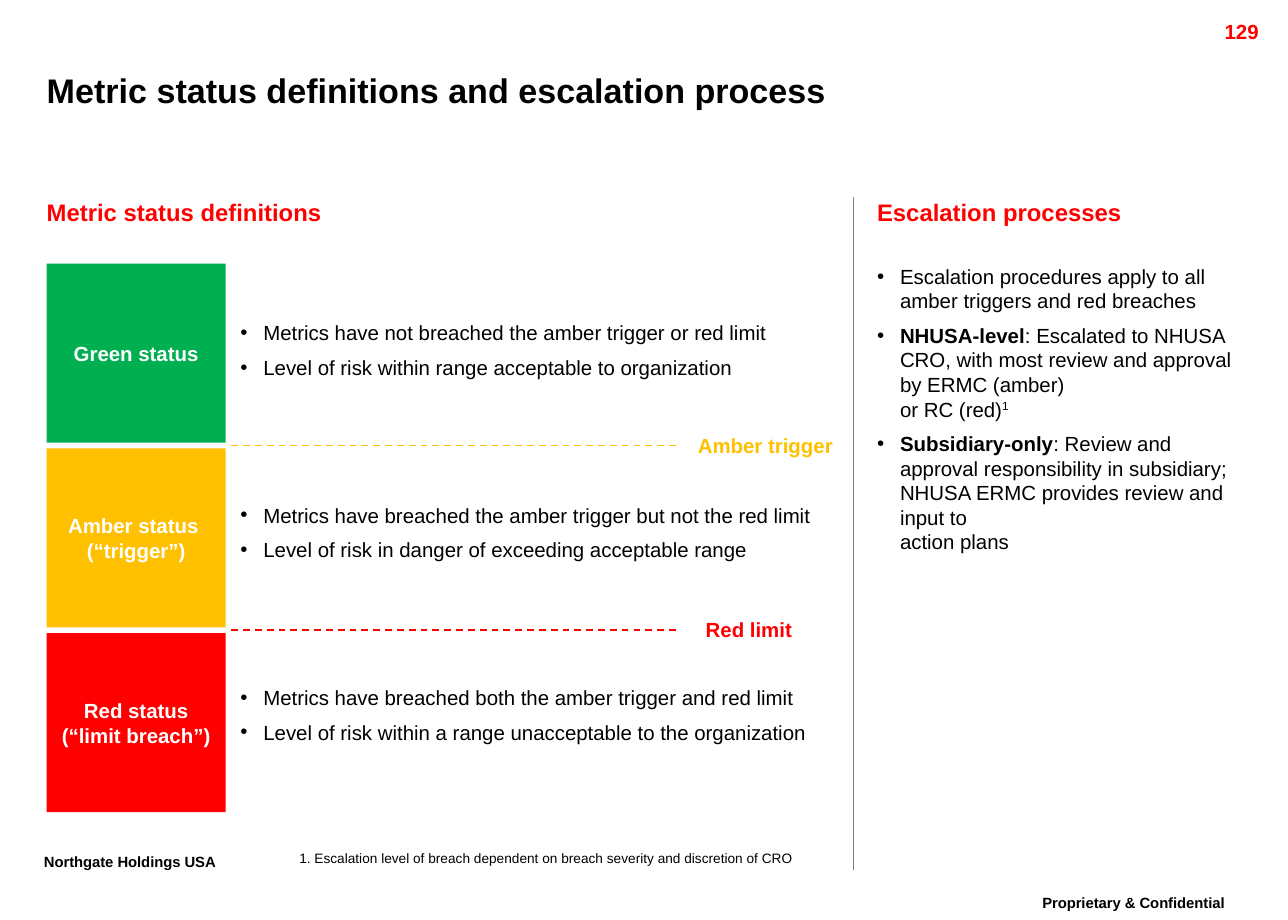
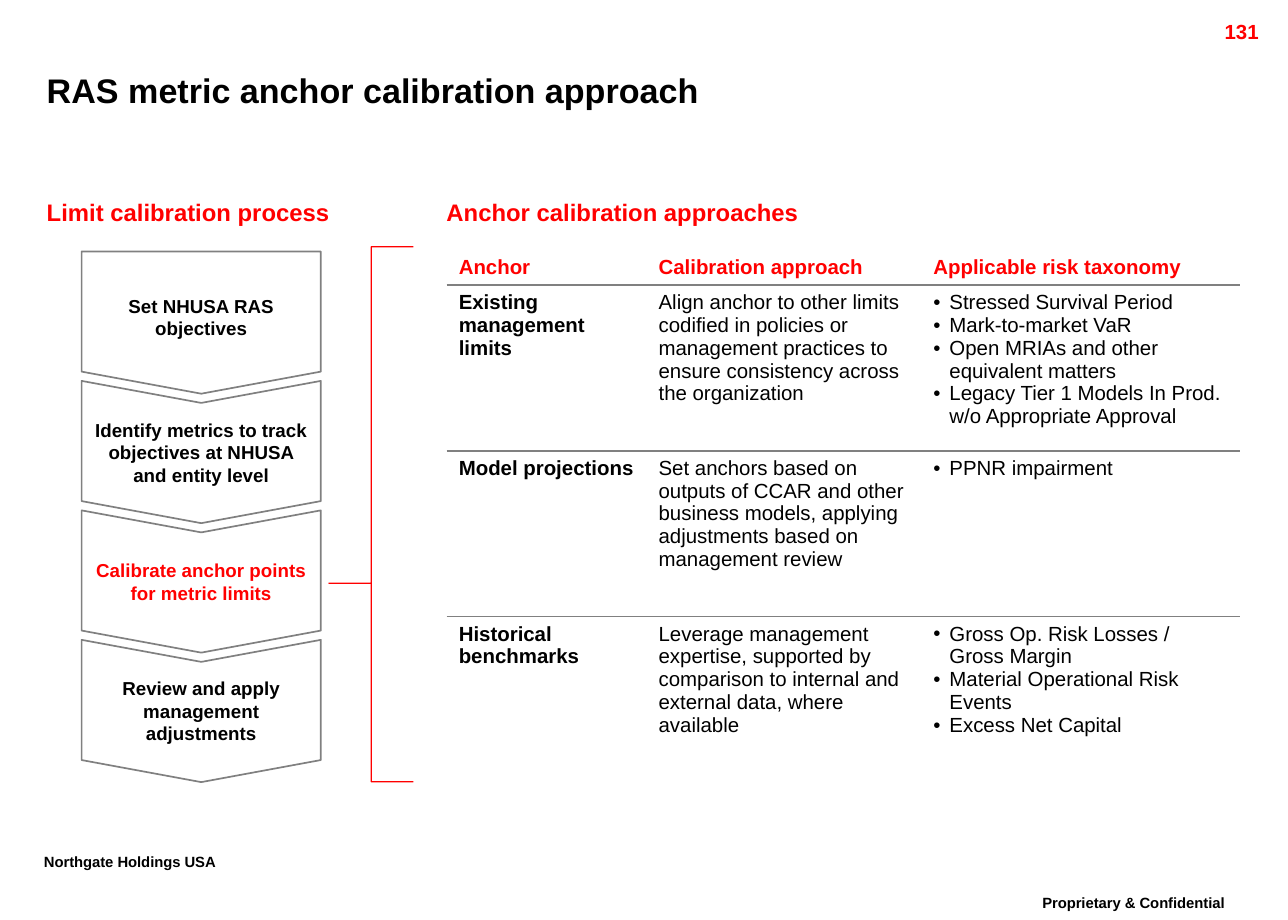
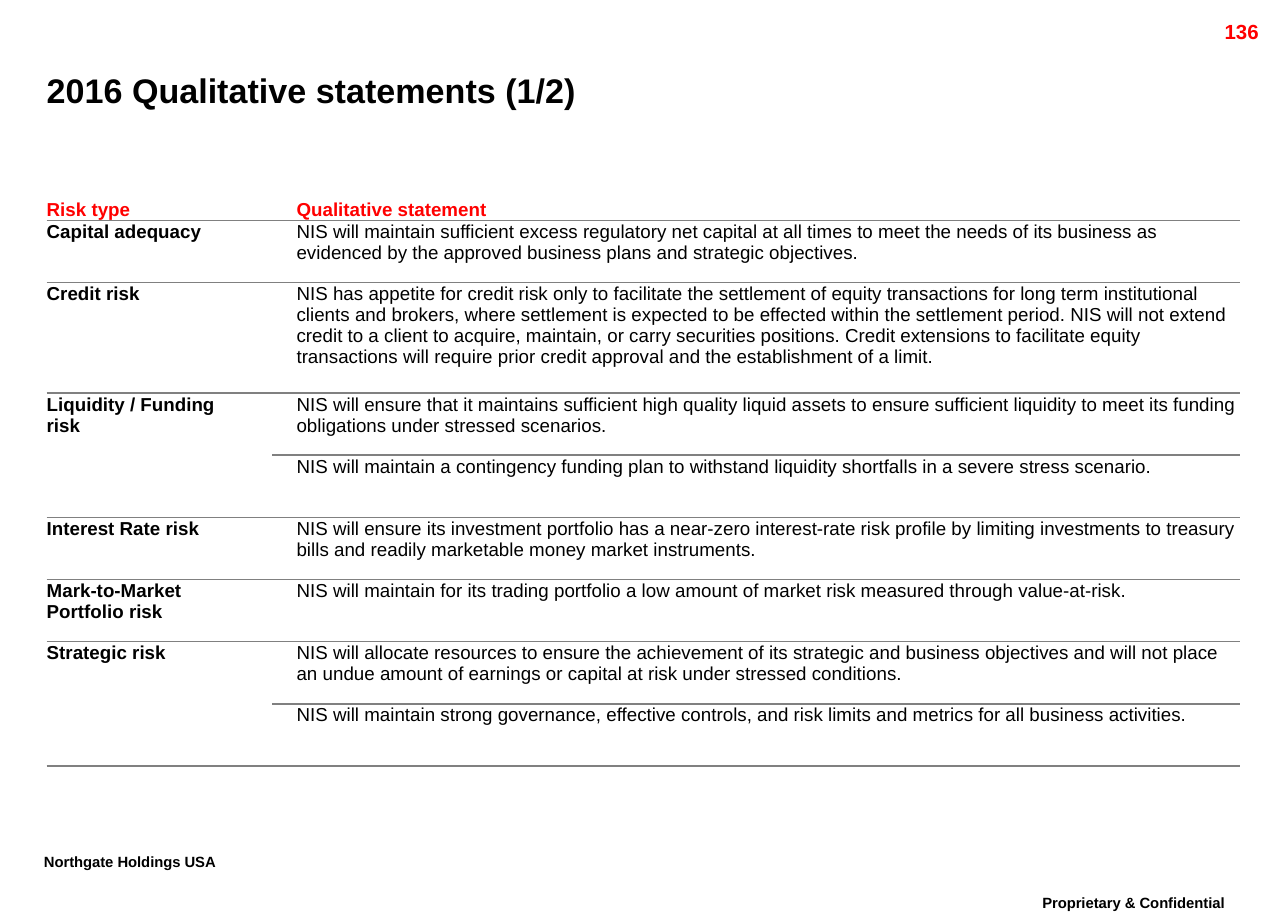
from lxml import etree
from pptx import Presentation
from pptx.dml.color import RGBColor
from pptx.enum.dml import MSO_LINE
from pptx.enum.shapes import MSO_CONNECTOR, MSO_SHAPE
from pptx.enum.text import MSO_ANCHOR, PP_ALIGN
from pptx.oxml.ns import qn
from pptx.util import Pt

LEFT, CENTER, RIGHT = PP_ALIGN.LEFT, PP_ALIGN.CENTER, PP_ALIGN.RIGHT
TOP, MIDDLE, BOTTOM = MSO_ANCHOR.TOP, MSO_ANCHOR.MIDDLE, MSO_ANCHOR.BOTTOM
RECT, PENTAGON = MSO_SHAPE.RECTANGLE, MSO_SHAPE.PENTAGON
CHEVRON, BRACE = MSO_SHAPE.CHEVRON, MSO_SHAPE.LEFT_BRACE
STRAIGHT, DASH = MSO_CONNECTOR.STRAIGHT, MSO_LINE.DASH

COLORS = {
    "black": "000000", "white": "FFFFFF", "red": "FF0000",
    "amber": "FFC000", "green": "00B050", "gray": "808080",
}
FONT = "Arial"
BODY_LINE, TABLE_LINE = 1.2, 1.115   # line pitch in multiples of the text size
NO_STYLE = "{2D5ABB26-0587-4C30-8999-92F81FD0307C}"
NO_INSETS, INSETS = (0, 0, 0, 0), (7.2, 3.6, 7.2, 3.6)
LEFT_X, HEAD_Y, RIGHT_X = 27.4, 115.9, 727.9


def rgb(name):
    return RGBColor.from_string(COLORS[name])


class Deck:
    """Shared style and the slide being built."""

    def __init__(self):
        self.prs = Presentation()
        self.prs.slide_width, self.prs.slide_height = Pt(756), Pt(540)
        self.s = None

    def slide(self, number, title):
        self.s = self.prs.slides.add_slide(self.prs.slide_layouts[6])
        self.footer(586.8, 522, 157, "Proprietary & Confidential", CENTER)
        self.footer(18.7, 497.5, 137.5, "Northgate Holdings USA", LEFT)
        self.text(673.9, 7.9, 72, 17.3, [number], 12, "red", True,
                  align=RIGHT, insets=INSETS)
        self.text(LEFT_X, 35.3, 682.6, 34.6, [title], 20, bold=True, anchor=MIDDLE)

    def footer(self, x, y, w, words, align):
        sp = self.text(x, y, w, 23, [[(words, {"raised": True})]], 15, bold=True,
                       align=align, insets=INSETS)
        sp.text_frame.paragraphs[0].line_spacing = 0.86

    # Text
    def fill_text(self, tf, paras, size, color="black", bold=False, align=LEFT,
                  anchor=TOP, insets=NO_INSETS, bullet=0, gap=0, line=BODY_LINE):
        """Fill a frame; a paragraph is a string or a list of (text, options)."""
        tf.word_wrap = True
        tf.vertical_anchor = anchor
        (tf.margin_left, tf.margin_top,
         tf.margin_right, tf.margin_bottom) = map(Pt, insets)
        for i, runs in enumerate(paras):
            p = tf.paragraphs[0] if i == 0 else tf.add_paragraph()
            if bullet:
                self.bullet(p, bullet)
            p.alignment = align
            p.line_spacing = Pt(round(size * line, 2))
            p.space_after = Pt(gap)
            for words, style in [(runs, {})] if isinstance(runs, str) else runs:
                for j, part in enumerate(words.split("\n")):
                    if j:
                        p.add_line_break()
                    r = p.add_run()
                    r.text = part
                    r.font.name, r.font.size = FONT, Pt(size)
                    r.font.bold = style.get("bold", bold)
                    r.font.color.rgb = rgb(color)
                    if style.get("raised"):
                        r.font._element.set("baseline", "30000")

    def bullet(self, p, indent):
        pPr = p._p.get_or_add_pPr()
        pPr.set("marL", str(Pt(indent)))
        pPr.set("indent", str(-Pt(indent)))
        etree.SubElement(pPr, qn("a:buFont")).set("typeface", FONT)
        etree.SubElement(pPr, qn("a:buChar")).set("char", "•")

    def text(self, x, y, w, h, paras, size, color="black", bold=False, **style):
        sp = self.s.shapes.add_textbox(Pt(x), Pt(y), Pt(w), Pt(h))
        self.fill_text(sp.text_frame, paras, size, color, bold, **style)
        return sp

    def heading(self, x, w, words):
        self.text(x, HEAD_Y, w, 17.3, [words], 14, "red", True)

    def bullets(self, x, y, w, h, paras):
        self.text(x, y, w, h, paras, 12, bullet=13.5, gap=6)

    # Shapes and lines
    def shape(self, kind, x, y, w, h, fill=None, line=None, weight=1):
        sp = self.s.shapes.add_shape(kind, Pt(x), Pt(y), Pt(w), Pt(h))
        sp.shadow.inherit = False
        if fill:
            sp.fill.solid()
            sp.fill.fore_color.rgb = rgb(fill)
        else:
            sp.fill.background()
        if line:
            sp.line.color.rgb = rgb(line)
            sp.line.width = Pt(weight)
        else:
            sp.line.fill.background()
        return sp

    def line(self, x1, y1, x2, y2, color, weight, dash=None):
        cx = self.s.shapes.add_connector(STRAIGHT, Pt(x1), Pt(y1), Pt(x2), Pt(y2))
        cx.line.color.rgb = rgb(color)
        cx.line.width = Pt(weight)
        if dash:
            cx.line.dash_style = dash
        etree.SubElement(cx._element.spPr, qn("a:effectLst"))

    def step(self, kind, x, y, w, h, words, color):
        """Downward arrow block: a sideways shape turned by 90 degrees."""
        sp = self.shape(kind, x + (w - h) / 2, y + (h - w) / 2, h, w, "white", "gray")
        sp.rotation = 90
        sp.adjustments[0] = 0.155
        self.fill_text(sp.text_frame, [words], 11, color, True, CENTER, MIDDLE,
                       (5.8,) * 4)
        body = sp.text_frame._txBody.bodyPr
        body.set("vert", "vert")
        body.set("rot", "10800000")

    # Tables
    def table(self, x, y, widths, heights, rows, size, insets, head_anchor,
              last_rule=True):
        """Ruled table; None in a row joins the cell to the one above."""
        tb = self.s.shapes.add_table(len(rows), len(widths), Pt(x), Pt(y),
                                     Pt(sum(widths)), Pt(sum(heights))).table
        tb.first_row = tb.horz_banding = False
        tb._tbl.tblPr.find(qn("a:tableStyleId")).text = NO_STYLE
        for col, w in zip(tb.columns, widths):
            col.width = Pt(w)
        for row, h in zip(tb.rows, heights):
            row.height = Pt(h)
        for i, row in enumerate(rows):
            for j, words in enumerate(row):
                cell = tb.cell(i, j)
                if last_rule or i < len(rows) - 1:
                    self.rule(cell)
                cell.fill.background()
                if words is None:
                    tb.cell(i - 1, j).merge(cell)
                    continue
                listed = isinstance(words, list)
                self.fill_text(cell.text_frame, words if listed else [words], size,
                               "black" if i else "red", i == 0 or j == 0,
                               bullet=9.4 if listed else 0, line=TABLE_LINE)
                cell.vertical_anchor = TOP if i else head_anchor
                (cell.margin_left, cell.margin_top,
                 cell.margin_right, cell.margin_bottom) = map(Pt, insets[j])

    def rule(self, cell):
        ln = etree.SubElement(cell._tc.get_or_add_tcPr(), qn("a:lnB"), w=str(Pt(1)))
        fill = etree.SubElement(ln, qn("a:solidFill"))
        etree.SubElement(fill, qn("a:srgbClr")).set("val", COLORS["gray"])


def status_slide(d):
    d.slide("129", "Metric status definitions and escalation process")
    d.heading(LEFT_X, 340, "Metric status definitions")
    d.heading(514.8, 213.1, "Escalation processes")

    # Status squares with their definitions; a dashed threshold in each gap
    top, size, pitch = 154.8, 105.1, 108.4
    statuses = [
        ("green", ["Green status"],
         ["Metrics have not breached the amber trigger or red limit",
          "Level of risk within range acceptable to organization"], None),
        ("amber", ["Amber status ", "(“trigger”)"],
         ["Metrics have breached the amber trigger but not the red limit",
          "Level of risk in danger of exceeding acceptable range"],
         ("Amber trigger", 105.1)),
        ("red", ["Red status", "(“limit breach”)"],
         ["Metrics have breached both the amber trigger and red limit",
          "Level of risk within a range unacceptable to the organization"],
         ("Red limit", 85.7)),
    ]
    for i, (color, name, meaning, threshold) in enumerate(statuses):
        y = top + i * pitch
        sp = d.shape(RECT, LEFT_X, y, size, size, color)
        d.fill_text(sp.text_frame, name, 12, "white", True, CENTER, MIDDLE, INSETS)
        d.bullets(141.1, 188 + i * 107, 369.4, 35.3, meaning)
        if threshold:
            label, w = threshold
            gap_y = y - (pitch - size) / 2
            d.line(396.7, gap_y, 133, gap_y, color, 1, DASH)
            d.text(396.7, gap_y - 11, w, 21.6, [label], 12, color, True,
                   align=CENTER, insets=INSETS)

    # Escalation column
    d.line(501.1, HEAD_Y, 501.1, 510.5, "gray", 0.75)
    strong = {"bold": True}
    d.bullets(514.8, top, 213.1, 172, [
        "Escalation procedures apply to all amber triggers and red breaches",
        [("NHUSA-level", strong),
         (": Escalated to NHUSA CRO, with most review and approval by ERMC (amber)"
          "\nor RC (red)", {}),
         ("1", {"raised": True})],
        [("Subsidiary-only", strong),
         (": Review and approval responsibility in subsidiary; NHUSA ERMC provides "
          "review and input to\naction plans", {})],
    ])
    d.text(175.7, 499, 393.8, 9.6,
           ["1. Escalation level of breach dependent on breach severity and "
            "discretion of CRO"], 8)


def calibration_slide(d):
    d.slide("131", "RAS metric anchor calibration approach")
    d.heading(LEFT_X, 214.6, "Limit calibration process")
    d.heading(262.1, 432, "Anchor calibration approaches")

    # Process steps
    steps = [
        (PENTAGON, "Set NHUSA RAS objectives", "black"),
        (CHEVRON, "Identify metrics to track objectives at NHUSA and entity level",
         "black"),
        (CHEVRON, "Calibrate anchor points for metric limits", "red"),
        (CHEVRON, "Review and apply management adjustments", "black"),
    ]
    for i, (kind, words, color) in enumerate(steps):
        d.step(kind, 47.9, 147.6 + i * 76, 140.4, 83.5, words, color)
    brace = d.shape(BRACE, 193, 144.9, 49.7, 313.9, line="red", weight=0.75)
    brace.adjustments[0], brace.adjustments[1] = 0, 0.629

    # Anchor table
    rows = [
        ("Anchor", "Calibration approach", "Applicable risk taxonomy"),
        ("Existing management limits",
         "Align anchor to other limits codified in policies or management practices "
         "to ensure consistency across the organization",
         ["Stressed Survival Period", "Mark-to-market VaR",
          "Open MRIAs and other equivalent matters",
          "Legacy Tier 1 Models In Prod. w/o Appropriate Approval"]),
        ("Model projections",
         "Set anchors based on outputs of CCAR and other business models, applying "
         "adjustments based on management review",
         ["PPNR impairment"]),
        ("Historical benchmarks",
         "Leverage management expertise, supported by comparison to internal and "
         "external data, where available",
         ["Gross Op. Risk Losses / Gross Margin", "Material Operational Risk Events",
          "Excess Net Capital"]),
    ]
    widths = [117.3, 161.3, 187.2]
    d.table(RIGHT_X - sum(widths), 144.9, widths, [22.5] + [97.2] * 3, rows, 12,
            [INSETS] * 3, BOTTOM, last_rule=False)


def statements_slide(d):
    d.slide("136", "2016 Qualitative statements (1/2)")
    rows = [
        ("Risk type", "Qualitative statement"),
        ("Capital adequacy",
         "NIS will maintain sufficient excess regulatory net capital at all times to "
         "meet the needs of its business as evidenced by the approved business plans "
         "and strategic objectives."),
        ("Credit risk",
         "NIS has appetite for credit risk only to facilitate the settlement of equity "
         "transactions for long term institutional clients and brokers, where "
         "settlement is expected to be effected within the settlement period. NIS will "
         "not extend credit to a client to acquire, maintain, or carry securities "
         "positions. Credit extensions to facilitate equity transactions will require "
         "prior credit approval and the establishment of a limit."),
        ("Liquidity / Funding\nrisk",
         "NIS will ensure that it maintains sufficient high quality liquid assets to "
         "ensure sufficient liquidity to meet its funding obligations under stressed "
         "scenarios."),
        (None,
         "NIS will maintain a contingency funding plan to withstand liquidity "
         "shortfalls in a severe stress scenario."),
        ("Interest Rate risk",
         "NIS will ensure its investment portfolio has a near-zero interest-rate risk "
         "profile by limiting investments to treasury bills and readily marketable "
         "money market instruments."),
        ("Mark-to-Market\nPortfolio risk",
         "NIS will maintain for its trading portfolio a low amount of market risk "
         "measured through value-at-risk."),
        ("Strategic risk",
         "NIS will allocate resources to ensure the achievement of its strategic and "
         "business objectives and will not place an undue amount of earnings or "
         "capital at risk under stressed conditions."),
        (None,
         "NIS will maintain strong governance, effective controls, and risk limits and "
         "metrics for all business activities."),
    ]
    heights = [13.5, 36.5, 64.8] + [36.5] * 6
    d.table(LEFT_X, HEAD_Y, [132.5, 568], heights, rows, 11,
            [(0, 0.7, 0.7, 0), (14.2, 0.7, 0.7, 0)], MIDDLE)


def main():
    d = Deck()
    status_slide(d)
    calibration_slide(d)
    statements_slide(d)
    d.prs.save("out.pptx")


if __name__ == "__main__":
    main()
